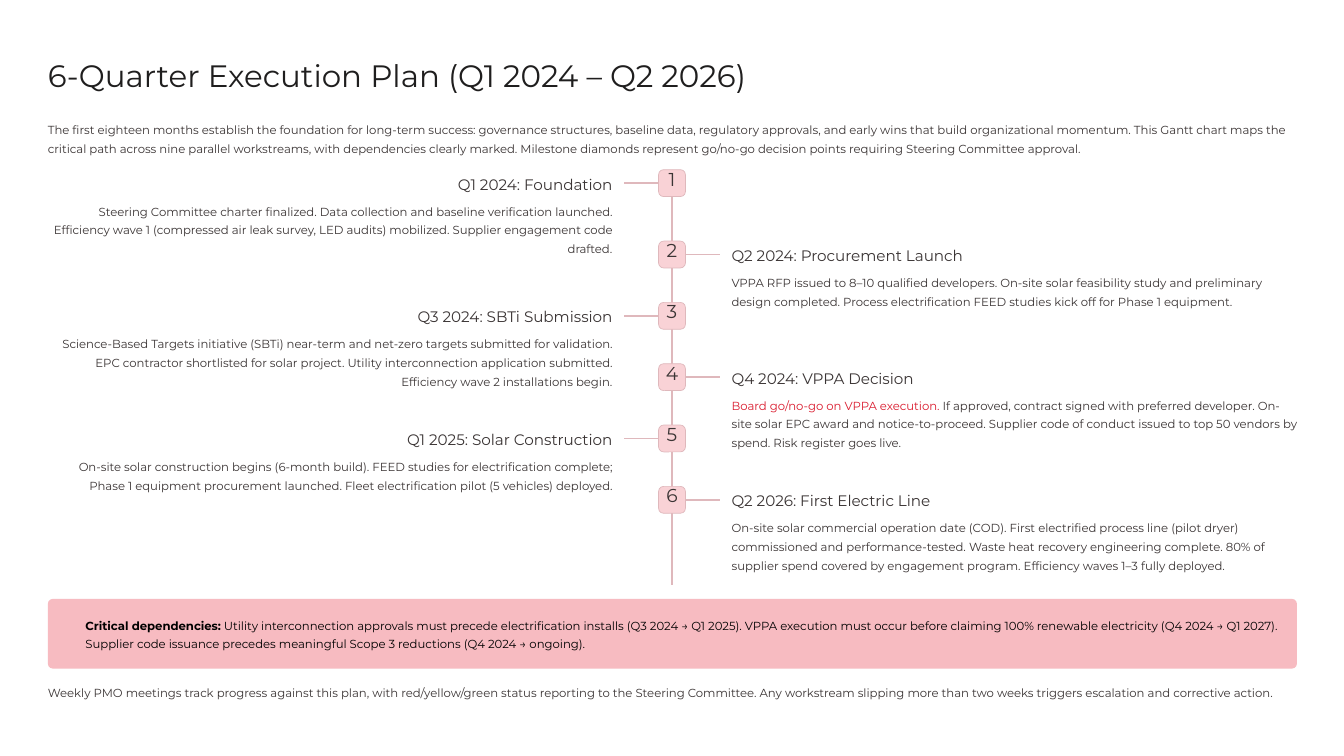
from dataclasses import dataclass

from lxml.etree import SubElement
from pptx import Presentation
from pptx.dml.color import RGBColor
from pptx.enum.shapes import MSO_CONNECTOR, MSO_SHAPE
from pptx.enum.text import MSO_ANCHOR, MSO_AUTO_SIZE, PP_ALIGN
from pptx.oxml.ns import qn
from pptx.util import Inches, Pt

WIDTH, HEIGHT = Inches(16), Inches(9)
COLUMNS, ROWS = 16, 9


@dataclass(frozen=True)
class Theme:
    font: str = "Montserrat"
    title_ink: str = "1F1E1E"
    ink: str = "3B3535"
    alert: str = "DA1B2E"
    black: str = "000000"
    rule: str = "DFB8BC"
    badge: str = "F9D2D6"
    callout: str = "F7BBC1"
    title: tuple = (26.5, 33)
    heading: tuple = (13, 16.5)
    number: tuple = (16, 16)
    body: tuple = (10, 16)
    rule_width: float = 1.5
    border_width: float = 0.6


THEME = Theme()

MARGIN, FULL_WIDTH = 0.57, 14.87
SPINE, SPINE_TOP, SPINE_END = 8, 2.02, 6.97
BADGE, ARM_REACH, TEXT_REACH, TEXT_WIDTH = 0.32, 0.57, 0.71, 6.73
SECOND_STEP, STEP_GAP = 2.87, 0.73

INTRO = (
    "The first eighteen months establish the foundation for long-term success: governance structures, "
    "baseline data, regulatory approvals, and early wins that build organizational momentum. This Gantt "
    "chart maps the critical path across nine parallel workstreams, with dependencies clearly marked. "
    "Milestone diamonds represent go/no-go decision points requiring Steering Committee approval."
)
STEPS = [
    ("Q1 2024: Foundation", "",
     "Steering Committee charter finalized. Data collection and baseline verification launched. "
     "Efficiency wave 1 (compressed air leak survey, LED audits) mobilized. Supplier engagement code drafted."),
    ("Q2 2024: Procurement Launch", "",
     "VPPA RFP issued to 8–10 qualified developers. On-site solar feasibility study and preliminary "
     "design completed. Process electrification FEED studies kick off for Phase 1 equipment."),
    ("Q3 2024: SBTi Submission", "",
     "Science-Based Targets initiative (SBTi) near-term and net-zero targets submitted for validation. "
     "EPC contractor shortlisted for solar project. Utility interconnection application submitted. "
     "Efficiency wave 2 installations begin."),
    ("Q4 2024: VPPA Decision", "Board go/no-go on VPPA execution.",
     " If approved, contract signed with preferred developer. On-site solar EPC award and "
     "notice-to-proceed. Supplier code of conduct issued to top 50 vendors by spend. Risk register goes live."),
    ("Q1 2025: Solar Construction", "",
     "On-site solar construction begins (6-month build). FEED studies for electrification complete; "
     "Phase 1 equipment procurement launched. Fleet electrification pilot (5 vehicles) deployed."),
    ("Q2 2026: First Electric Line", "",
     "On-site solar commercial operation date (COD). First electrified process line (pilot dryer) "
     "commissioned and performance-tested. Waste heat recovery engineering complete. 80% of supplier "
     "spend covered by engagement program. Efficiency waves 1–3 fully deployed."),
]
DEPENDENCIES = (
    " Utility interconnection approvals must precede electrification installs (Q3 2024 → Q1 2025). "
    "VPPA execution must occur before claiming 100% renewable electricity (Q4 2024 → Q1 2027). "
    "Supplier code issuance precedes meaningful Scope 3 reductions (Q4 2024 → ongoing)."
)
CLOSING = (
    "Weekly PMO meetings track progress against this plan, with red/yellow/green status reporting to the "
    "Steering Committee. Any workstream slipping more than two weeks triggers escalation and corrective action."
)


def col(count):
    return round(WIDTH * count / COLUMNS)


def row(count):
    return round(HEIGHT * count / ROWS)


def area(left, top, width, height):
    return col(left), row(top), col(width), row(height)


def apply(target, values):
    for name, value in values.items():
        setattr(target, name, value)


def write(frame, runs, style, align=PP_ALIGN.LEFT, insets=(0, 0, 0)):
    size, leading = style
    left, top, right = insets
    apply(frame, {
        "word_wrap": True, "auto_size": MSO_AUTO_SIZE.NONE, "vertical_anchor": MSO_ANCHOR.TOP,
        "margin_left": col(left), "margin_top": row(top), "margin_right": col(right), "margin_bottom": 0,
    })
    paragraph = frame.paragraphs[0]
    apply(paragraph, {"alignment": align, "line_spacing": Pt(leading)})
    for text, color, bold in runs:
        run = paragraph.add_run()
        run.text = text
        apply(run.font, {"name": THEME.font, "size": Pt(size), "bold": bold})
        run.font.color.rgb = RGBColor.from_string(color)


def add_title(slide, text):
    title = slide.shapes.title
    place = area(MARGIN, 0.66, FULL_WIDTH, 0.46)
    apply(title, dict(zip(("left", "top", "width", "height"), place)))
    write(title.text_frame, [(text, THEME.title_ink, False)], THEME.title)


def add_text(slide, place, runs, style, align=PP_ALIGN.LEFT):
    write(slide.shapes.add_textbox(*area(*place)).text_frame, runs, style, align)


def add_panel(slide, place, corner, fill, border=None):
    panel = slide.shapes.add_shape(MSO_SHAPE.ROUNDED_RECTANGLE, *area(*place))
    panel.adjustments[0] = corner
    panel.shadow.inherit = False
    panel.fill.solid()
    panel.fill.fore_color.rgb = RGBColor.from_string(fill)
    if border:
        panel.line.color.rgb = RGBColor.from_string(border)
        panel.line.width = Pt(THEME.border_width)
    else:
        panel.line.fill.background()
    return panel


def add_rule(slide, start, end):
    rule = slide.shapes.add_connector(
        MSO_CONNECTOR.STRAIGHT, col(start[0]), row(start[1]), col(end[0]), row(end[1]))
    rule.line.color.rgb = RGBColor.from_string(THEME.rule)
    rule.line.width = Pt(THEME.rule_width)
    SubElement(rule._element.spPr, qn("a:effectLst"))
    return rule


def add_step(slide, index, heading, lead, detail):
    top = SECOND_STEP + STEP_GAP * (index - 1) if index else SPINE_TOP
    on_left = index % 2 == 0
    side = -1 if on_left else 1
    align = PP_ALIGN.RIGHT if on_left else PP_ALIGN.LEFT
    text_left = SPINE - TEXT_REACH - TEXT_WIDTH if on_left else SPINE + TEXT_REACH

    badge = add_panel(slide, (SPINE - BADGE / 2, top, BADGE, BADGE), 0.187, THEME.badge, THEME.rule)
    write(badge.text_frame, [(str(index + 1), THEME.ink, False)], THEME.number, PP_ALIGN.CENTER)
    middle = top + BADGE / 2
    arm = add_rule(slide, (SPINE + side * BADGE / 2, middle), (SPINE + side * ARM_REACH, middle))
    arm.begin_connect(badge, 1 if on_left else 3)

    add_text(slide, (text_left, top + 0.05, TEXT_WIDTH, 0.23),
             [(heading, THEME.ink, False)], THEME.heading, align)
    runs = [(lead, THEME.alert, False)] if lead else []
    add_text(slide, (text_left, top + 0.36, TEXT_WIDTH, 0.68),
             runs + [(detail, THEME.ink, False)], THEME.body, align)


def main():
    deck = Presentation()
    apply(deck, {"slide_width": WIDTH, "slide_height": HEIGHT})
    slide = deck.slides.add_slide(deck.slide_layouts[5])

    add_title(slide, "6-Quarter Execution Plan (Q1 2024 – Q2 2026)")
    add_text(slide, (MARGIN, 1.41, FULL_WIDTH, 0.45), [(INTRO, THEME.ink, False)], THEME.body)

    add_rule(slide, (SPINE, SPINE_TOP), (SPINE, SPINE_END))
    for index, step in enumerate(STEPS):
        add_step(slide, index, *step)

    callout = add_panel(slide, (MARGIN, 7.13, FULL_WIDTH, 0.83), 0.072, THEME.callout)
    write(callout.text_frame,
          [("Critical dependencies:", THEME.black, True), (DEPENDENCIES, THEME.black, False)],
          THEME.body, insets=(0.43, 0.16, 0.13))
    add_text(slide, (MARGIN, 8.11, FULL_WIDTH, 0.23), [(CLOSING, THEME.ink, False)], THEME.body)

    deck.save("out.pptx")


if __name__ == "__main__":
    main()
